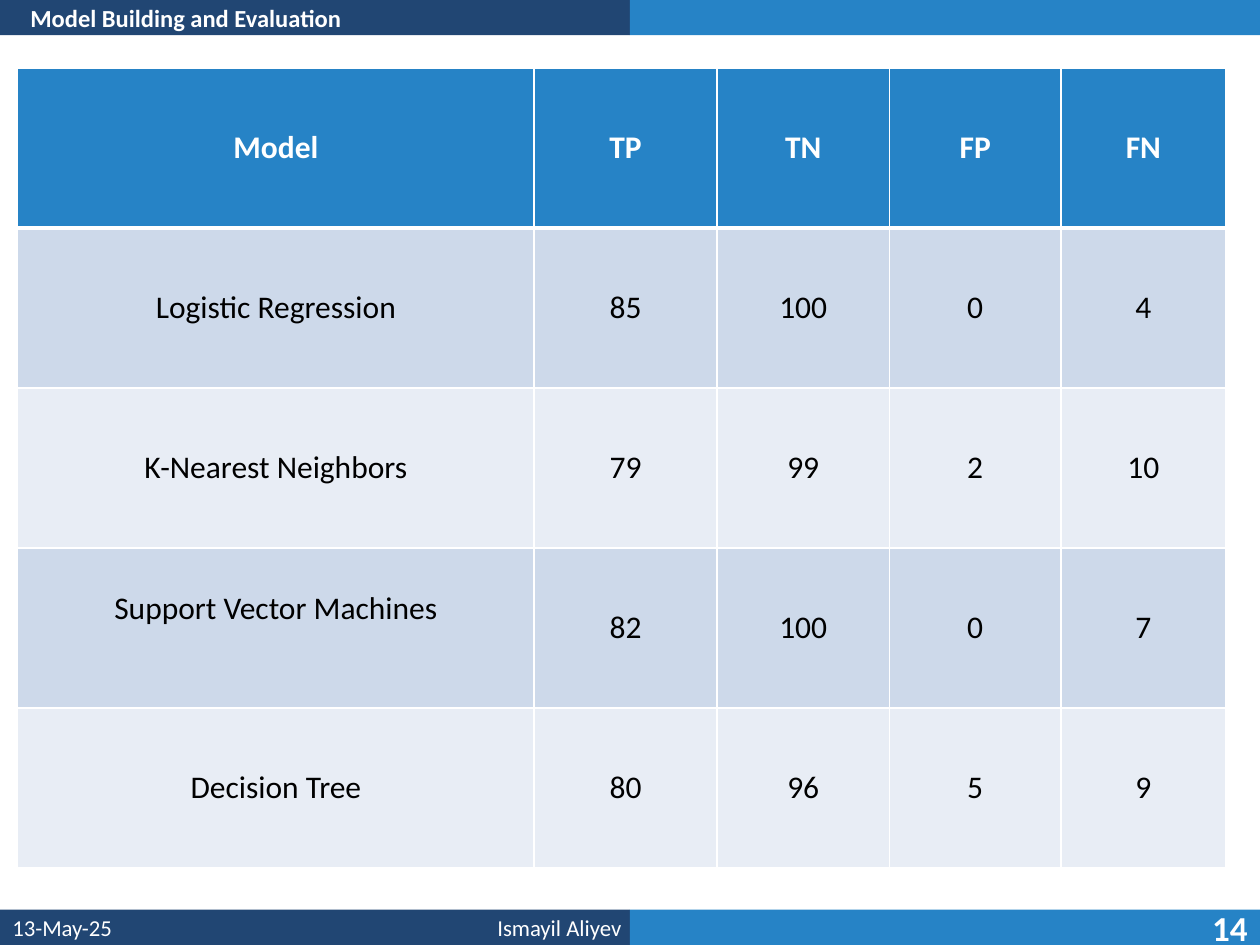
from lxml.etree import SubElement
from pptx import Presentation
from pptx.dml.color import RGBColor
from pptx.enum.shapes import MSO_SHAPE
from pptx.enum.text import MSO_ANCHOR, MSO_AUTO_SIZE, PP_ALIGN
from pptx.oxml.ns import qn
from pptx.util import Inches, Pt

COLORS = {
    "navy": "214673", "blue": "2683C6", "white": "FFFFFF",
    "black": "000000", "band_dark": "CDD9EA", "band_light": "E8EDF5",
}
FONT = "Calibri"
BAR_HEIGHT = 0.28
FOOTER_TOP = 7.22

TITLE = "Model Building and Evaluation"
# text, left, width, side inset, size, bold, alignment
FOOTER = [
    ("13-May-25", 0, 1.2, 0.1, 13, False, PP_ALIGN.LEFT),
    ("Ismayil Aliyev", 1.22, 3.71, 0, 13, False, PP_ALIGN.RIGHT),
    ("14", 9.35, 0.65, 0.1, 20, True, PP_ALIGN.RIGHT),
]
RESULTS = [
    ("Model", "TP", "TN", "FP", "FN"),
    ("Logistic Regression", 85, 100, 0, 4),
    ("K-Nearest Neighbors", 79, 99, 2, 10),
    ("Support Vector Machines", 82, 100, 0, 7),
    ("Decision Tree", 80, 96, 5, 9),
]
RAISED_LABEL = "Support Vector Machines"
COLUMN_WIDTHS = [4.1, 1.45, 1.37, 1.36, 1.31]
ROW_HEIGHT = 1.27


def rgb(name):
    return RGBColor.from_string(COLORS[name])


def style_para(para, size, color, bold, align):
    para.alignment = align
    font = para.font
    font.name, font.size, font.bold = FONT, Pt(size), bold
    font.color.rgb = rgb(color)


def fill_bar_text(box, text, inset, size, bold, align):
    frame = box.text_frame
    frame.text = text
    frame.word_wrap = True
    frame.auto_size = MSO_AUTO_SIZE.NONE
    frame.vertical_anchor = MSO_ANCHOR.MIDDLE
    frame.margin_left = frame.margin_right = Inches(inset)
    frame.margin_top = frame.margin_bottom = Inches(0.05)
    style_para(frame.paragraphs[0], size, "white", bold, align)


def add_border(cell, side, width):
    line = SubElement(cell._tc.get_or_add_tcPr(), qn(f"a:ln{side}"), w=str(Pt(width)))
    SubElement(SubElement(line, qn("a:solidFill")), qn("a:srgbClr"), val=COLORS["white"])


deck = Presentation()
deck.slide_width, deck.slide_height = Inches(10), Inches(7.5)
page = deck.slides.add_slide(deck.slide_layouts[5])

# Header and footer bars
for top in (0, FOOTER_TOP):
    for left, color in ((0, "navy"), (5, "blue")):
        bar = page.shapes.add_shape(
            MSO_SHAPE.RECTANGLE, Inches(left), Inches(top), Inches(5), Inches(BAR_HEIGHT))
        bar.shadow.inherit = False
        bar.fill.solid()
        bar.fill.fore_color.rgb = rgb(color)
        bar.line.fill.background()

# Title, brought in front of the header bar
title = page.shapes.title
page.shapes._spTree.append(title._element)
title.left, title.top = Inches(0), Inches(0)
title.width, title.height = Inches(5), Inches(BAR_HEIGHT)
fill_bar_text(title, TITLE, 0, 14, True, PP_ALIGN.LEFT)
title.text_frame.margin_left = Inches(0.24)

# Footer texts
for text, left, width, inset, size, bold, align in FOOTER:
    box = page.shapes.add_textbox(
        Inches(left), Inches(FOOTER_TOP), Inches(width), Inches(BAR_HEIGHT))
    fill_bar_text(box, text, inset, size, bold, align)

# Results table
table = page.shapes.add_table(
    len(RESULTS), len(COLUMN_WIDTHS), Inches(0.14), Inches(0.54),
    Inches(sum(COLUMN_WIDTHS)), Inches(ROW_HEIGHT * len(RESULTS))).table
for column, width in zip(table.columns, COLUMN_WIDTHS):
    column.width = Inches(width)
for r, values in enumerate(RESULTS):
    table.rows[r].height = Inches(ROW_HEIGHT)
    header = r == 0
    band = "blue" if header else ("band_light", "band_dark")[r % 2]
    for c, value in enumerate(values):
        cell = table.cell(r, c)
        cell.text = str(value)
        cell.vertical_anchor = MSO_ANCHOR.MIDDLE
        if value == RAISED_LABEL:
            cell.margin_bottom = Inches(0.36)
        style_para(cell.text_frame.paragraphs[0], 18,
                   "white" if header else "black", header, PP_ALIGN.CENTER)
        widths = {"L": 1, "R": 1, "T": 3 if r == 1 else 1, "B": 3 if header else 1}
        for side, width in widths.items():
            add_border(cell, side, width)
        cell.fill.solid()
        cell.fill.fore_color.rgb = rgb(band)

deck.save("out.pptx")
